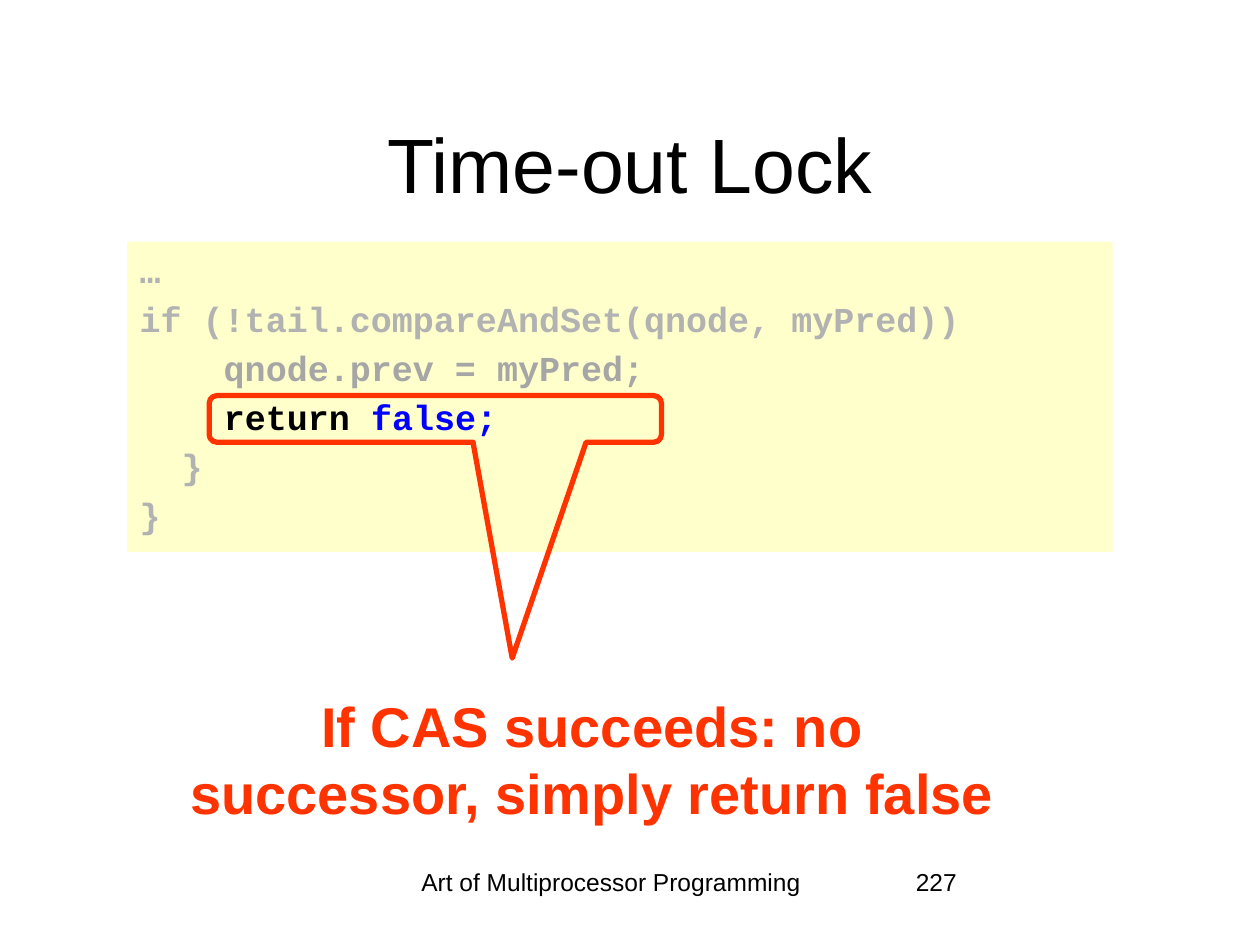
from typing import NamedTuple

from pptx import Presentation
from pptx.dml.color import RGBColor
from pptx.enum import shapes, text
from pptx.util import Inches, Pt

BLACK = RGBColor(0x00, 0x00, 0x00)
BLUE = RGBColor(0x00, 0x00, 0xFF)
PALE = RGBColor(0xB2, 0xB2, 0xB2)
GRAY = RGBColor(0xA6, 0xA6, 0xA6)
RED = RGBColor(0xFF, 0x33, 0x00)
CREAM = RGBColor(0xFF, 0xFF, 0xCC)
LEFT, CENTER = text.PP_ALIGN.LEFT, text.PP_ALIGN.CENTER


class Box(NamedTuple):
    left: float
    top: float
    width: float
    height: float

    def emu(self) -> list:
        return [Inches(side) for side in self]


class Label(NamedTuple):
    words: str
    box: Box
    size: int
    color: RGBColor = BLACK
    bold: bool = False
    align: text.PP_ALIGN = CENTER


TITLE = Label("Time-out Lock", Box(0.75, 0.67, 8.5, 1.25), 44)
LABELS = [
    Label("Art of Multiprocessor Programming", Box(2.89, 6.83, 3.92, 0.5), 14),
    Label("227", Box(7.17, 6.83, 2.08, 0.5), 14, align=LEFT),
    Label("If CAS succeeds: no successor, simply return false",
          Box(1.32, 5.44, 6.76, 1.17), 32, RED, True),
]
CODE = [
    [("…", PALE)],
    [("if (!tail.compareAndSet(qnode, myPred))", PALE)],
    [("    qnode.prev = myPred;", GRAY)],
    [("    ", BLUE), ("return", BLACK), (" false;", BLUE)],
    [("  }", PALE)],
    [("}", PALE)],
]


def style(run, face: str, size: int, color: RGBColor, bold: bool) -> None:
    font = run.font
    font.name, font.size, font.bold = face, Pt(size), bold
    font.color.rgb = color


def write(shape, label: Label) -> None:
    frame = shape.text_frame
    frame.word_wrap = True
    frame.text = label.words
    line = frame.paragraphs[0]
    line.alignment = label.align
    style(line.runs[0], "Arial", label.size, label.color, label.bold)


def add_title(slide, label: Label) -> None:
    title = slide.shapes.title
    title.left, title.top, title.width, title.height = label.box.emu()
    write(title, label)
    title.text_frame.vertical_anchor = text.MSO_ANCHOR.MIDDLE


def add_code(slide, box: Box) -> None:
    panel = slide.shapes.add_shape(shapes.MSO_SHAPE.RECTANGLE, *box.emu())
    panel.shadow.inherit = False
    panel.fill.solid()
    panel.fill.fore_color.rgb = CREAM
    panel.line.fill.background()
    frame = panel.text_frame
    frame.word_wrap = True
    frame.vertical_anchor = text.MSO_ANCHOR.TOP
    frame.margin_top = Inches(0.05)
    for row, parts in enumerate(CODE):
        line = frame.add_paragraph() if row else frame.paragraphs[0]
        line.alignment = LEFT
        if row:
            line.space_before = Pt(4)
        for words, color in parts:
            run = line.add_run()
            run.text = words
            style(run, "Courier New", 20, color, True)


def add_callout(slide, box: Box, tip: tuple) -> None:
    """Outline a line of code; tip is the pointer's offset in box sizes."""
    call = slide.shapes.add_shape(
        shapes.MSO_SHAPE.ROUNDED_RECTANGULAR_CALLOUT, *box.emu())
    call.shadow.inherit = False
    call.fill.background()
    call.line.color.rgb = RED
    call.line.width = Pt(3)
    call.adjustments[0], call.adjustments[1] = tip


def main() -> None:
    deck = Presentation()
    deck.slide_width, deck.slide_height = Inches(10), Inches(7.5)
    slide = deck.slides.add_slide(deck.slide_layouts.get_by_name("Title Only"))
    add_title(slide, TITLE)
    add_code(slide, Box(1.01, 1.92, 7.82, 2.46))
    for label in LABELS:
        write(slide.shapes.add_textbox(*label.box.emu()), label)
    add_callout(slide, Box(1.66, 3.14, 3.59, 0.37), (0.17, 5.13))
    deck.save("out.pptx")


if __name__ == "__main__":
    main()
